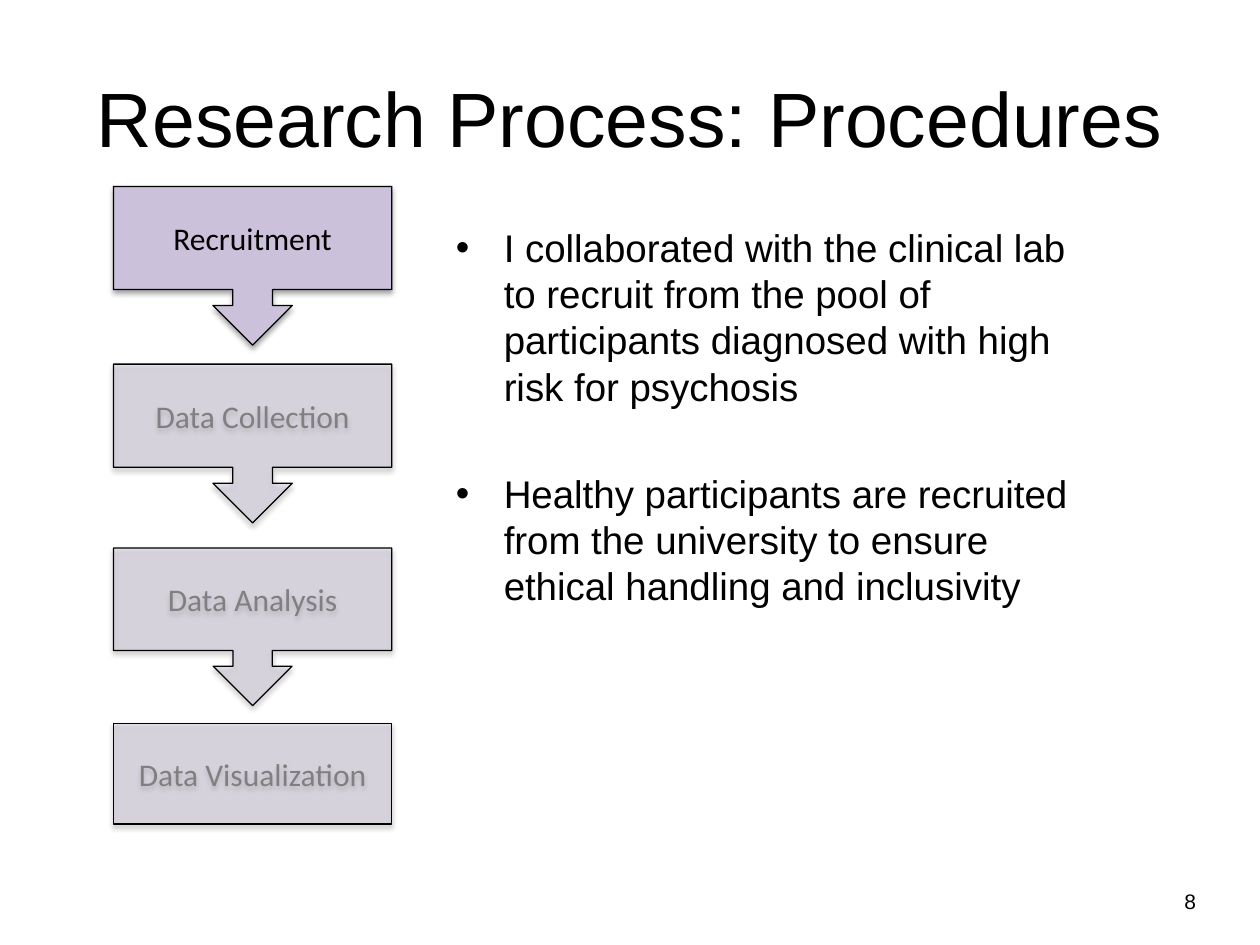
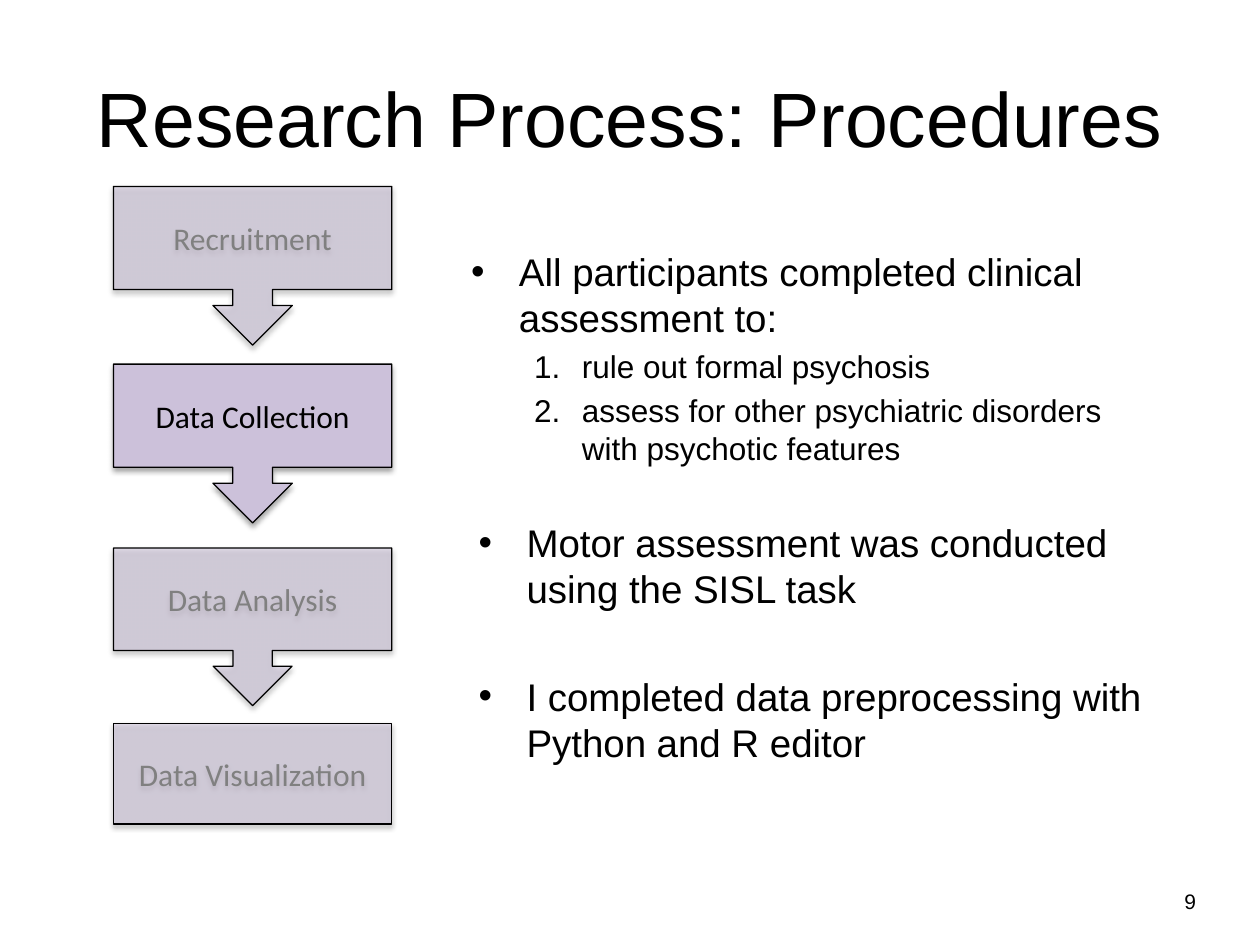
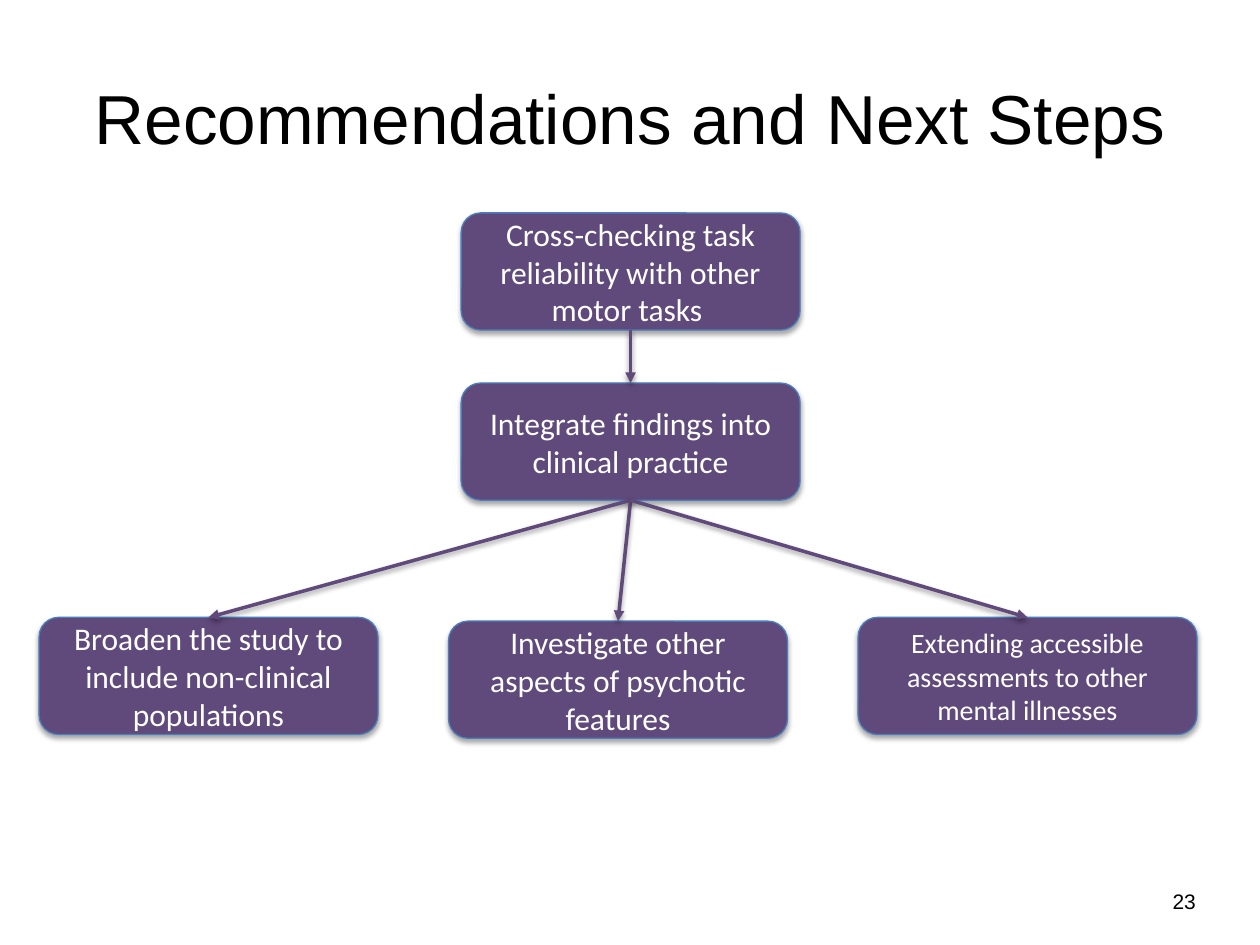
"""Build three slides on research procedures and next steps."""
from lxml import etree
from pptx import Presentation
from pptx.dml.color import RGBColor
from pptx.enum.shapes import MSO_CONNECTOR, MSO_SHAPE
from pptx.enum.text import MSO_ANCHOR, PP_ALIGN
from pptx.oxml.ns import qn
from pptx.util import Inches, Pt

RECTANGLE = MSO_SHAPE.RECTANGLE
CALLOUT = MSO_SHAPE.DOWN_ARROW_CALLOUT
ROUNDED = MSO_SHAPE.ROUNDED_RECTANGLE
STRAIGHT = MSO_CONNECTOR.STRAIGHT
TOP, MIDDLE = MSO_ANCHOR.TOP, MSO_ANCHOR.MIDDLE
LEFT, CENTER, RIGHT = PP_ALIGN.LEFT, PP_ALIGN.CENTER, PP_ALIGN.RIGHT

BLACK, WHITE, GRAY = "000000", "FFFFFF", "808080"
LILAC, PURPLE, BLUE = "CCC1DA", "604A7B", "4B7EBC"
HEADING_FONT, SHAPE_FONT = "Arial", "Calibri"
TITLE_BOX = (0.5, 0.3, 9, 1.25)
NUMBER_BOX = (7.26, 6.95, 2.33, 0.4)
HANGING = 0.38

STEP_LEFT, STEP_WIDTH = 0.9, 2.21
STEPS = [
    ("Recruitment", CALLOUT, 1.48, 1.26),
    ("Data Collection", CALLOUT, 2.89, 1.26),
    ("Data Analysis", CALLOUT, 4.35, 1.25),
    ("Data Visualization", RECTANGLE, 5.74, 0.8),
]
PROCEDURES = [
    {
        "number": "8", "active": "Recruitment", "faded": 38,
        "box": (3.52, 1.73, 5.36, 4.04),
        "points": [
            ("I collaborated with the clinical lab to recruit from the pool of "
             "participants diagnosed with high risk for psychosis", "•", 22, 0.38, 0),
            ("Healthy participants are recruited from the university to ensure "
             "ethical handling and inclusivity", "•", 22, 0.38, 35),
        ],
    },
    {
        "number": "9", "active": "Data Collection", "faded": 50,
        "box": (3.64, 1.92, 5.68, 4.43),
        "points": [
            ("All participants completed clinical assessment to:", "•", 22, 0.38, 0),
            ("rule out formal psychosis", "1.", 18, 0.88, 3.6),
            ("assess for other psychiatric disorders with psychotic features",
             "1.", 18, 0.88, 3.6),
            ("Motor assessment was conducted using the SISL task", "•", 22, 0.44, 30),
            ("I completed data preprocessing with Python and R editor",
             "•", 22, 0.44, 35),
        ],
    },
]

NODE_WIDTH, NODE_HEIGHT = 2.69, 0.93
NODES = {
    "check": ("Cross-checking task reliability with other motor tasks ", 3.66, 1.69, 18),
    "integrate": ("Integrate findings into clinical practice", 3.66, 3.04, 18),
    "broaden": ("Broaden the study to include non-clinical populations", 0.31, 4.9, 18),
    "investigate": ("Investigate other aspects of psychotic features", 3.56, 4.93, 18),
    "extend": ("Extending accessible assessments to other mental illnesses", 6.81, 4.9, 16),
}
ARROWS = [
    ("check", "integrate"),
    ("integrate", "broaden"),
    ("integrate", "investigate"),
    ("integrate", "extend"),
]
BOTTOM_SITE, TOP_SITE = 2, 0


def color(value):
    return RGBColor.from_string(value)


def add_child(parent, tag, **attributes):
    child = etree.SubElement(parent, qn(tag))
    for name, value in attributes.items():
        child.set(name, str(value))
    return child


def add_shadow(shape, opacity, distance):
    effects = add_child(shape.element.spPr, "a:effectLst")
    shadow = add_child(effects, "a:outerShdw", blurRad=Pt(3.1), dist=Pt(distance),
                       dir=90 * 60000, rotWithShape=0)
    shadow_color = add_child(shadow, "a:srgbClr", val=BLACK)
    add_child(shadow_color, "a:alpha", val=opacity * 1000)


def add_run(paragraph, text, size, font, ink):
    run = paragraph.add_run()
    run.text = text
    run.font.size = Pt(size)
    run.font.name = font
    run.font.color.rgb = color(ink)


def set_text(shape, text, size, font, ink, align):
    frame = shape.text_frame
    frame.word_wrap = True
    frame.vertical_anchor = MIDDLE
    paragraph = frame.paragraphs[0]
    paragraph.alignment = align
    add_run(paragraph, text, size, font, ink)


def add_text_box(slide, box):
    return slide.shapes.add_textbox(*map(Inches, box))


def add_block(slide, kind, box, fill, line, opacity=100):
    shape = slide.shapes.add_shape(kind, *map(Inches, box))
    shape.fill.solid()
    shape.fill.fore_color.rgb = color(fill)
    if opacity < 100:
        fill_color = shape.element.spPr.find(qn("a:solidFill"))[0]
        add_child(fill_color, "a:alpha", val=opacity * 1000)
    shape.line.color.rgb = color(line)
    shape.line.width = Pt(0.75)
    add_shadow(shape, 35, 1.8)
    return shape


def add_slide(presentation, title, title_size, number):
    slide = presentation.slides.add_slide(presentation.slide_layouts[6])
    set_text(add_text_box(slide, TITLE_BOX), title, title_size, HEADING_FONT, BLACK, CENTER)
    set_text(add_text_box(slide, NUMBER_BOX), number, 12, HEADING_FONT, BLACK, RIGHT)
    return slide


def add_points(slide, box, points):
    frame = add_text_box(slide, box).text_frame
    frame.word_wrap = True
    frame.vertical_anchor = TOP
    for index, (text, bullet, size, indent, space) in enumerate(points):
        paragraph = frame.add_paragraph() if index else frame.paragraphs[0]
        paragraph.alignment = LEFT
        paragraph.space_before = Pt(space)
        properties = paragraph._p.get_or_add_pPr()
        properties.set("marL", str(Inches(indent)))
        properties.set("indent", str(-Inches(HANGING)))
        add_child(properties, "a:buFont", typeface=HEADING_FONT)
        if bullet == "•":
            add_child(properties, "a:buChar", char=bullet)
        else:
            add_child(properties, "a:buAutoNum", type="arabicPeriod")
        add_run(paragraph, text, size, HEADING_FONT, BLACK)


def add_procedure(presentation, procedure):
    slide = add_slide(presentation, "Research Process: Procedures", 44, procedure["number"])
    for label, kind, top, height in STEPS:
        active = label == procedure["active"]
        step = add_block(slide, kind, (STEP_LEFT, top, STEP_WIDTH, height), LILAC, BLACK,
                         100 if active else procedure["faded"])
        set_text(step, label, 18, SHAPE_FONT, BLACK if active else GRAY, CENTER)
    add_points(slide, procedure["box"], procedure["points"])


def add_arrow(slide, start, end):
    arrow = slide.shapes.add_connector(STRAIGHT, 0, 0, 0, 0)
    arrow.begin_connect(start, BOTTOM_SITE)
    arrow.end_connect(end, TOP_SITE)
    arrow.line.color.rgb = color(PURPLE)
    arrow.line.width = Pt(2)
    add_child(arrow.element.spPr.find(qn("a:ln")), "a:tailEnd", type="triangle")
    add_shadow(arrow, 38, 1.6)


def add_next_steps(presentation):
    slide = add_slide(presentation, "Recommendations and Next Steps", 39.6, "23")
    nodes = {}
    for name, (text, left, top, size) in NODES.items():
        box = (left, top, NODE_WIDTH, NODE_HEIGHT)
        nodes[name] = add_block(slide, ROUNDED, box, PURPLE, BLUE)
        set_text(nodes[name], text, size, SHAPE_FONT, WHITE, CENTER)
    for start, end in ARROWS:
        add_arrow(slide, nodes[start], nodes[end])


def main():
    presentation = Presentation()
    presentation.slide_width = Inches(10)
    presentation.slide_height = Inches(7.5)
    for procedure in PROCEDURES:
        add_procedure(presentation, procedure)
    add_next_steps(presentation)
    presentation.save("out.pptx")


if __name__ == "__main__":
    main()
